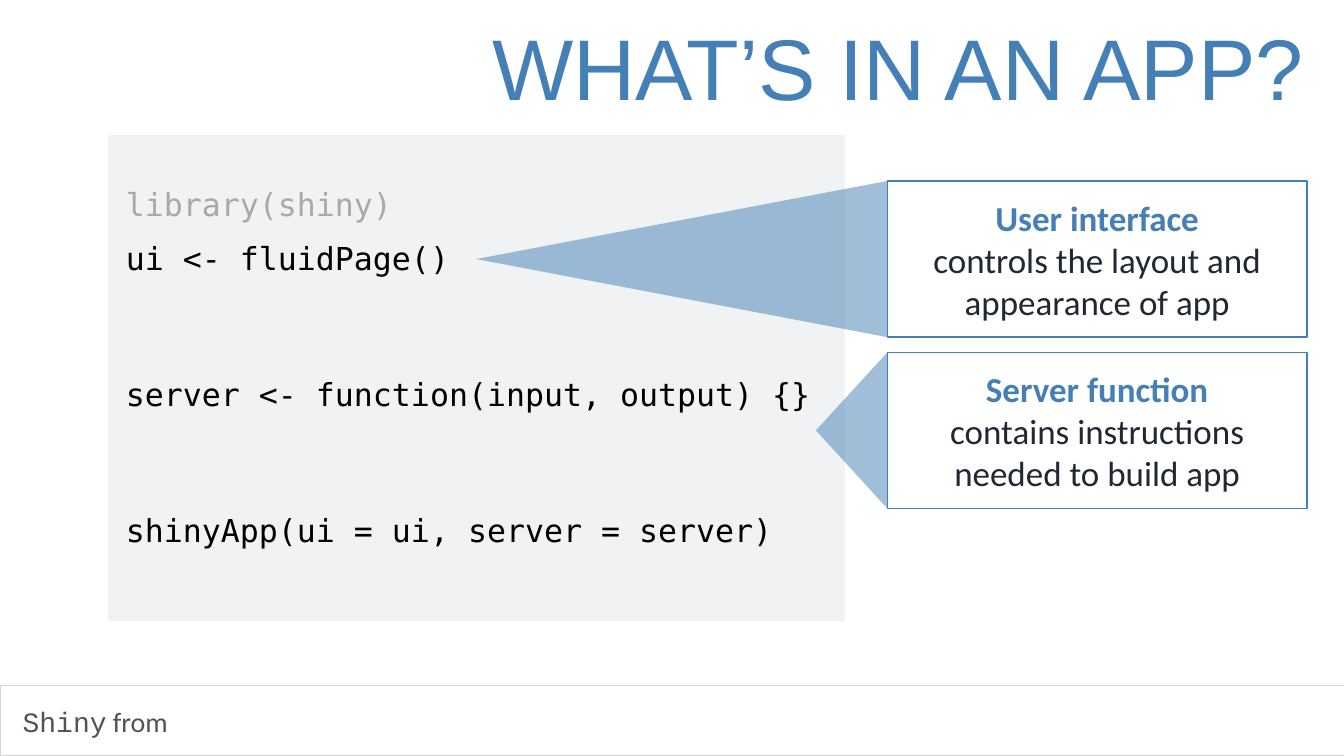
from dataclasses import dataclass

from lxml import etree
from pptx import Presentation
from pptx.dml.color import RGBColor
from pptx.enum import shapes, text
from pptx.oxml import ns
from pptx.util import Inches, Pt


@dataclass(frozen=True)
class Theme:
    blue: str = "447FB5"
    dark: str = "212833"
    black: str = "000000"
    dim: str = "A6AAA9"
    panel: str = "F0F2F4"
    white: str = "FFFFFF"
    rule: str = "D6D6D6"
    foot: str = "535353"
    head: str = "Arial"
    body: str = "Calibri"
    mono: str = "DejaVu Sans Mono"
    type: str = "Courier New"
    title_pt: float = 123
    code_pt: float = 45.1
    note_pt: float = 50
    foot_pt: float = 40


@dataclass(frozen=True)
class Box:
    left: float
    top: float
    width: float
    height: float

    def emu(self) -> list:
        return [Inches(v) for v in (self.left, self.top, self.width, self.height)]


@dataclass(frozen=True)
class Code:
    line: str
    color: str
    gap: float  # space before, in points


@dataclass(frozen=True)
class Note:
    top: float
    tip: float  # horizontal place of the pointer tip
    head: str
    lines: tuple


T = Theme()
NOTE_X, NOTE_W, NOTE_H = 17.61, 8.33, 3.1

CODE = [
    Code("library(shiny)", T.dim, 0),
    Code("ui <- fluidPage()", T.black, 24),
    Code("server <- function(input, output) {}", T.black, 140),
    Code("shinyApp(ui = ui, server = server)", T.black, 140),
]
NOTES = [
    Note(3.59, 9.45, "User interface",
         ("controls the layout and appearance of app",)),
    Note(6.99, 16.19, "Server function",
         ("contains instructions", "needed to build app")),
]


def style(run, face: str, size: float, color: str, bold: bool = False) -> None:
    font = run.font
    font.name, font.size, font.bold = face, Pt(size), bold
    font.color.rgb = RGBColor.from_string(color)


def frame(shape, inset: float = 0.06, anchor=text.MSO_ANCHOR.MIDDLE):
    area = shape.text_frame
    area.word_wrap = True
    area.vertical_anchor = anchor
    area.margin_left = area.margin_right = Inches(inset)
    area.margin_top = area.margin_bottom = Inches(inset)
    return area


def paint(shape, fill: str = "", line: str = "", width: float = 1) -> None:
    shape.shadow.inherit = False
    if fill:
        shape.fill.solid()
        shape.fill.fore_color.rgb = RGBColor.from_string(fill)
    else:
        shape.fill.background()
    if line:
        shape.line.color.rgb = RGBColor.from_string(line)
        shape.line.width = Pt(width)
    else:
        shape.line.fill.background()


def rect(slide, box: Box, fill: str = "", line: str = "", width: float = 1):
    shape = slide.shapes.add_shape(shapes.MSO_SHAPE.RECTANGLE, *box.emu())
    paint(shape, fill, line, width)
    return shape


def wedge(slide, note: Note) -> None:
    base = note.top + NOTE_H
    build = slide.shapes.build_freeform(
        Inches(note.tip), Inches(note.top + NOTE_H / 2))
    build.add_line_segments([(Inches(NOTE_X), Inches(note.top)),
                             (Inches(NOTE_X), Inches(base))], close=True)
    shape = build.convert_to_shape()
    paint(shape, T.blue)
    # Half transparent fill
    color = shape.fill._xPr.find(".//" + ns.qn("a:srgbClr"))
    etree.SubElement(color, ns.qn("a:alpha"), val="50000")


def callout(slide, note: Note) -> None:
    box = Box(NOTE_X, note.top, NOTE_W, NOTE_H)
    area = frame(rect(slide, box, T.white, T.blue, 2))
    area.text = "\n".join((note.head, *note.lines))
    for i, para in enumerate(area.paragraphs):
        para.alignment = text.PP_ALIGN.CENTER
        color = T.dark if i else T.blue
        style(para.runs[0], T.body, T.note_pt, color, bold=i == 0)
    wedge(slide, note)


def listing(slide, box: Box) -> None:
    area = frame(slide.shapes.add_textbox(*box.emu()), 0.08, text.MSO_ANCHOR.TOP)
    area.text = "\n".join(code.line for code in CODE)
    for para, code in zip(area.paragraphs, CODE):
        para.space_before = Pt(code.gap)
        style(para.runs[0], T.mono, T.code_pt, code.color)


def title(slide, box: Box) -> None:
    area = frame(slide.shapes.add_textbox(*box.emu()))
    area.text = "WHAT’S IN AN APP?"
    para = area.paragraphs[0]
    para.alignment = text.PP_ALIGN.RIGHT
    style(para.runs[0], T.head, T.title_pt, T.blue)


def footer(slide) -> None:
    rect(slide, Box(0.01, 13.6, 26.67, 1.39), line=T.rule)
    box = Box(0.39, 13.93, 3.6, 0.78)
    para = frame(slide.shapes.add_textbox(*box.emu())).paragraphs[0]
    for words, face in (("Shiny", T.type), (" from", T.body)):
        run = para.add_run()
        run.text = words
        style(run, face, T.foot_pt, T.foot)


def main() -> None:
    deck = Presentation()
    deck.slide_width, deck.slide_height = Inches(26.67), Inches(15)
    slide = deck.slides.add_slide(deck.slide_layouts[6])

    # Footer bar and title
    footer(slide)
    title(slide, Box(0.73, 0.23, 25.21, 2.18))

    # Code panel
    rect(slide, Box(2.14, 2.68, 14.62, 9.64), T.panel)
    listing(slide, Box(2.42, 3.58, 14.33, 7.85))

    # Callouts pointing at the code
    for note in NOTES:
        callout(slide, note)

    deck.save("out.pptx")


if __name__ == "__main__":
    main()
